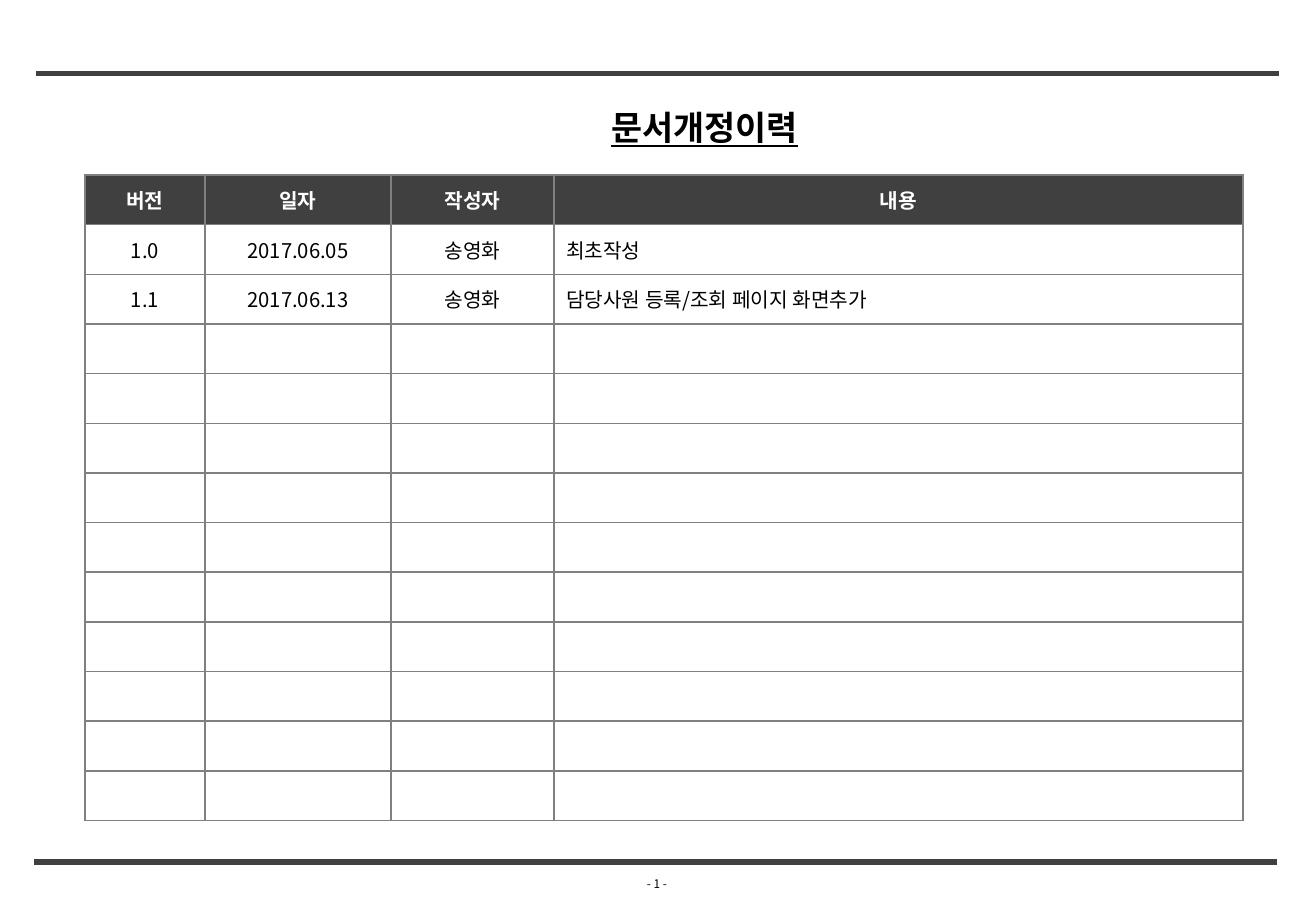
import pptx
import pptx.dml.color
import pptx.enum.shapes
import pptx.enum.text
import pptx.oxml.ns
import pptx.util
from lxml import etree

TITLE = "문서개정이력"
PAGE_NUMBER = "- 1 -"
HEADERS = ("버전", "일자", "작성자", "내용")
REVISIONS = [
    ("1.0", "2017.06.05", "송영화", "최초작성"),
    ("1.1", "2017.06.13", "송영화", "담당사원 등록/조회 페이지 화면추가"),
]
EMPTY_ROWS = 10

FONT = "Noto Sans CJK KR"
COLORS = {"dark": "404040", "border": "808080", "text": "000000", "paper": "FFFFFF"}
SLIDE_SIZE = (1316, 911)
TITLE_BOX = (581, 101, 229, 53)
PAGE_BOX = (635, 870, 62, 27)
RULES = [(36, 74, 1279), (34, 862, 1277)]  # left, y, right
TABLE_LEFT, TABLE_TOP, TABLE_HEIGHT = 85, 175, 646
COLUMN_WIDTHS = (120, 186, 163, 689)

ALIGN = pptx.enum.text.PP_ALIGN
MIDDLE = pptx.enum.text.MSO_ANCHOR.MIDDLE


def px(length):
    return pptx.util.Emu(round(length * 914400 / 121.5))


def color(name):
    return pptx.dml.color.RGBColor.from_string(COLORS[name])


def add_child(parent, tag, **attributes):
    return etree.SubElement(parent, pptx.oxml.ns.qn(tag), attributes)


def write(paragraph, text, size, color_name="text", bold=False, underline=None, align=ALIGN.LEFT):
    paragraph.alignment = align
    run = paragraph.add_run()
    run.text = text
    font = run.font
    font.size = pptx.util.Pt(size)
    font.bold = bold
    font.underline = underline
    font.color.rgb = color(color_name)
    font.name = FONT
    add_child(font._element, "a:ea", typeface=FONT)


def add_rule(slide, left, y, right):
    line = slide.shapes.add_connector(
        pptx.enum.shapes.MSO_CONNECTOR.STRAIGHT, px(left), px(y), px(right), px(y))
    line.line.color.rgb = color("dark")
    line.line.width = pptx.util.Pt(3)
    add_child(line._element.spPr, "a:effectLst")


def add_borders(cell):
    """Draw all four edges; they must precede the cell fill in the XML."""
    properties = cell._tc.get_or_add_tcPr()
    for edge in ("a:lnL", "a:lnR", "a:lnT", "a:lnB"):
        line = add_child(properties, edge, w=str(pptx.util.Pt(1)))
        add_child(add_child(line, "a:solidFill"), "a:srgbClr", val=COLORS["border"])


def add_history(slide):
    rows = [HEADERS, *REVISIONS] + [("",) * len(HEADERS)] * EMPTY_ROWS
    table = slide.shapes.add_table(
        len(rows), len(HEADERS), px(TABLE_LEFT), px(TABLE_TOP),
        px(sum(COLUMN_WIDTHS)), px(TABLE_HEIGHT)).table
    for column, width in zip(table.columns, COLUMN_WIDTHS):
        column.width = px(width)
    for row_index, texts in enumerate(rows):
        table.rows[row_index].height = px(TABLE_HEIGHT / len(rows))
        is_header = row_index == 0
        for column_index, text in enumerate(texts):
            cell = table.cell(row_index, column_index)
            cell.vertical_anchor = MIDDLE
            add_borders(cell)
            cell.fill.solid()
            cell.fill.fore_color.rgb = color("dark" if is_header else "paper")
            paragraph = cell.text_frame.paragraphs[0]
            if text:
                is_note = column_index == len(HEADERS) - 1 and not is_header
                write(paragraph, text, 12, "paper" if is_header else "text", is_header,
                      align=ALIGN.LEFT if is_note else ALIGN.CENTER)
            else:
                add_child(paragraph._p, "a:endParaRPr", sz="1200")


def main():
    presentation = pptx.Presentation()
    presentation.slide_width, presentation.slide_height = map(px, SLIDE_SIZE)
    slide = presentation.slides.add_slide(presentation.slide_layouts[5])

    for rule in RULES:
        add_rule(slide, *rule)

    title = slide.shapes.title
    title.left, title.top, title.width, title.height = map(px, TITLE_BOX)
    title.text_frame.auto_size = pptx.enum.text.MSO_AUTO_SIZE.NONE
    title.text_frame.vertical_anchor = MIDDLE
    write(title.text_frame.paragraphs[0], TITLE, 20, bold=True, underline=True, align=ALIGN.RIGHT)

    page = slide.shapes.add_textbox(*map(px, PAGE_BOX)).text_frame
    page.word_wrap = True
    page.vertical_anchor = MIDDLE
    write(page.paragraphs[0], PAGE_NUMBER, 7)

    add_history(slide)
    presentation.save("out.pptx")


if __name__ == "__main__":
    main()
